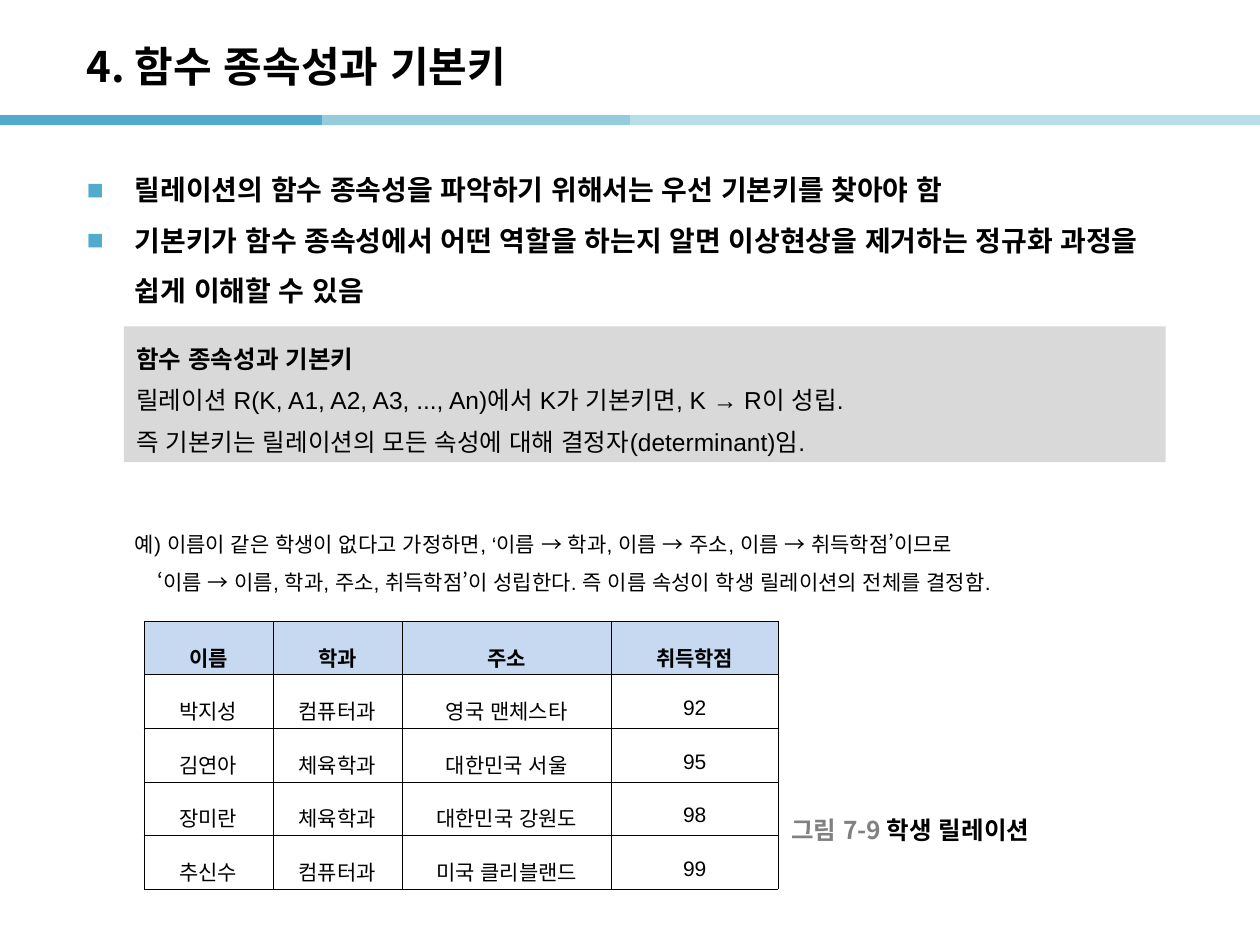
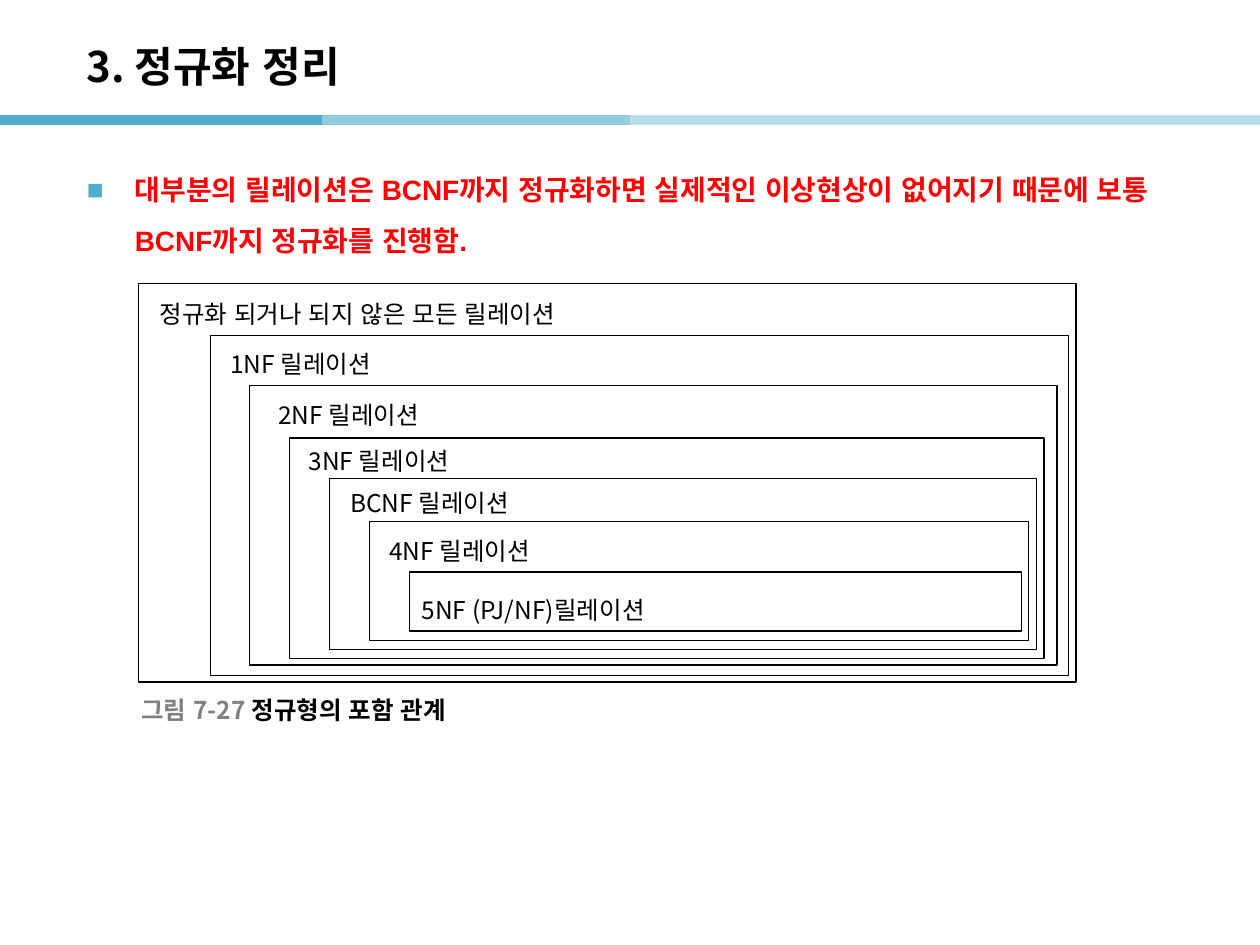
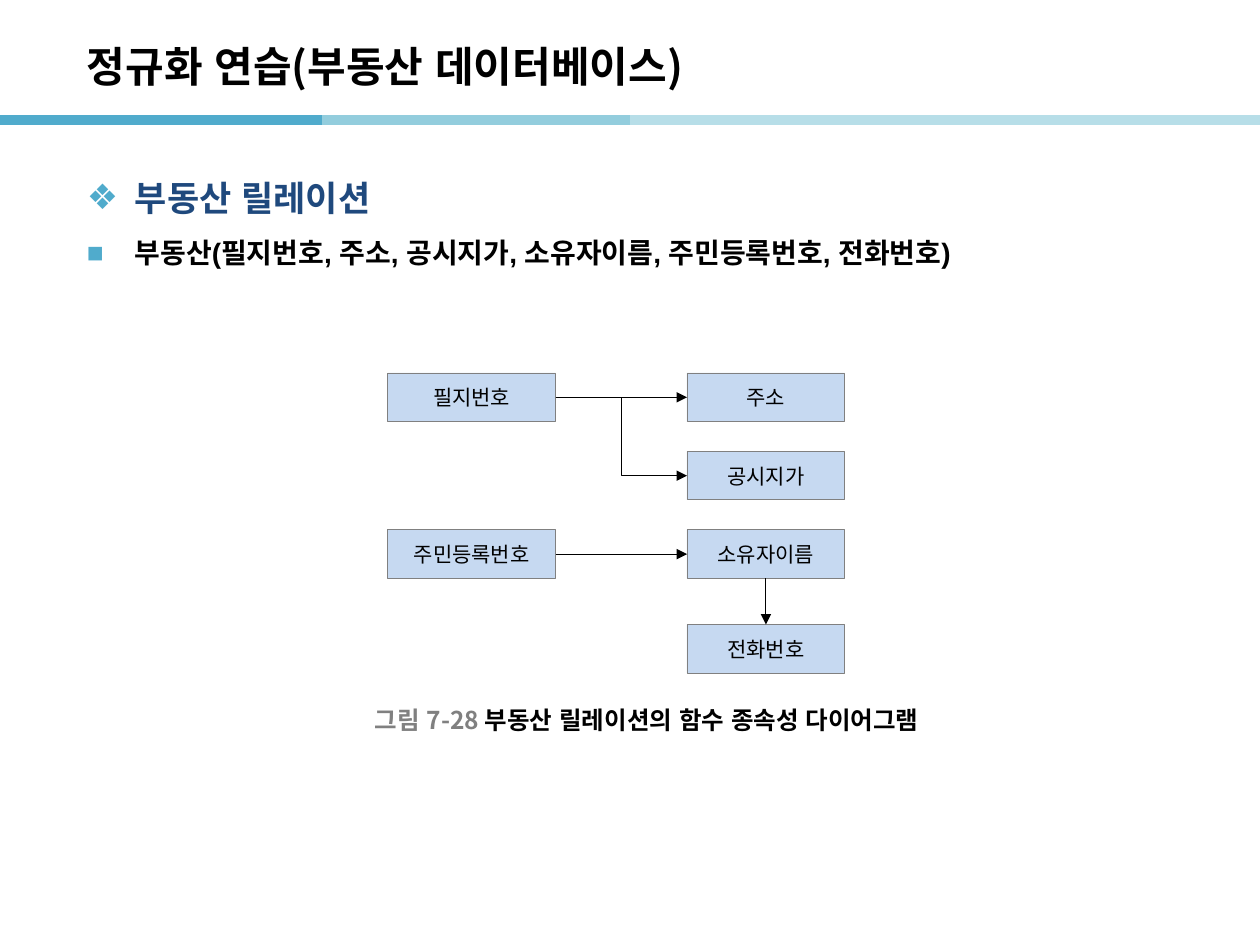
"""Builds three database slides on functional dependency and normal forms."""
from lxml import etree
from pptx import Presentation, util as u
from pptx.dml.color import RGBColor
from pptx.enum import lang, shapes, text
from pptx.oxml.ns import qn

HUES = {
    "ink": "000000", "red": "FF0000", "navy": "1F497D", "gray": "808080",
    "pale": "D9D9D9", "sky": "C6D9F1", "teal": "50ABCC", "aqua": "93CDDD",
    "mist": "B7DEE8",
}
NOTO, ARIAL = "Noto Sans CJK KR", "Arial"

BANDS = [(0, 6.5, "teal"), (6.5, 12.7, "aqua"), (12.7, 25.4, "mist")]
TITLE = (1.5, 0.56, 21, 1.52)
BODY = (1.5, 3.02, 22.4, 15.2)

FONTS = {
    "title": dict(name=NOTO, size=24, bold=True, hue="ink"),
    "head": dict(name=ARIAL, size=20, bold=True, hue="navy"),
    "point": dict(name=ARIAL, size=16, bold=True, hue="ink"),
    "alert": dict(name=ARIAL, size=16, bold=True, hue="red"),
    "case": dict(name=ARIAL, size=12, bold=False, hue="ink"),
    "term": dict(name=ARIAL, size=14, bold=True, hue="ink"),
    "rule": dict(name=ARIAL, size=14, bold=False, hue="ink"),
    "top": dict(name=ARIAL, size=12, bold=True, hue="ink"),
    "cell": dict(name=ARIAL, size=12, bold=False, hue="ink"),
    "label": dict(name=NOTO, size=14, bold=False, hue="ink"),
    "node": dict(name=NOTO, size=12, bold=False, hue="ink"),
    "fig": dict(name=NOTO, size=14, bold=True, hue="gray"),
    "name": dict(name=NOTO, size=14, bold=True, hue="ink"),
}
PARAS = {
    "head": dict(line_spacing=1.5), "point": dict(line_spacing=1.5),
    "alert": dict(line_spacing=1.5), "case": dict(line_spacing=1.5),
    "term": dict(line_spacing=1.4), "rule": dict(line_spacing=1.4),
    "top": dict(line_spacing=1.6, alignment=text.PP_ALIGN.CENTER),
    "cell": dict(line_spacing=1.6, alignment=text.PP_ALIGN.CENTER),
    "node": dict(alignment=text.PP_ALIGN.CENTER),
}
MARKS = {"head": "❖", "point": "■", "alert": "■"}
HANG = 0.97

KEYS = {
    "title": "4. 함수 종속성과 기본키",
    "body": [
        ("point", "릴레이션의 함수 종속성을 파악하기 위해서는 우선 기본키를 찾아야 함"),
        ("point", "기본키가 함수 종속성에서 어떤 역할을 하는지 알면 이상현상을 제거하는 정규화 과정을 쉽게 이해할 수 있음"),
        ("case", "예) 이름이 같은 학생이 없다고 가정하면, ‘이름 → 학과, 이름 → 주소, 이름 → 취득학점’이므로"),
        ("case", "‘이름 → 이름, 학과, 주소, 취득학점’이 성립한다. 즉 이름 속성이 학생 릴레이션의 전체를 결정함."),
    ],
    "fig": ("그림 7-9 ", "학생 릴레이션", 15.7, 16.33, 6),
}
CASE = [(2, HANG, 121), (3, 1.42, 0)]
RULE = [
    ("term", "함수 종속성과 기본키"),
    ("rule", "릴레이션 R(K, A1, A2, A3, ..., An)에서 K가 기본키면, K → R이 성립."),
    ("rule", "즉 기본키는 릴레이션의 모든 속성에 대해 결정자(determinant)임."),
]
COLS = [2.6, 2.6, 4.23, 3.35]
ROWS = [
    ("이름", "학과", "주소", "취득학점"),
    ("박지성", "컴퓨터과", "영국 맨체스타", "92"),
    ("김연아", "체육학과", "대한민국 서울", "95"),
    ("장미란", "체육학과", "대한민국 강원도", "98"),
    ("추신수", "컴퓨터과", "미국 클리블랜드", "99"),
]
ROW = 1.08

FORMS = {
    "title": "3. 정규화 정리",
    "body": [("alert", "대부분의 릴레이션은 BCNF까지 정규화하면 실제적인 이상현상이 없어지기 때문에 보통 BCNF까지 정규화를 진행함.")],
    "fig": ("그림 7-27 ", "정규형의 포함 관계", 2.6, 13.92, 7.5),
}
NESTS = [
    ("정규화 되거나 되지 않은 모든 릴레이션", (2.97, 5.9, 11.38), (2.79, 5.72, 18.9, 8.03)),
    ("1NF 릴레이션", (4.39, 6.91, 3.68), (4.24, 6.76, 17.3, 6.86)),
    ("2NF 릴레이션", (5.36, 7.94, 3.68), (5.03, 7.77, 16.28, 5.64)),
    ("3NF 릴레이션", (5.97, 8.86, 3.68), (5.84, 8.83, 15.21, 4.45)),
    ("BCNF 릴레이션", (6.81, 9.72, 4.93), (6.65, 9.65, 14.25, 3.45)),
    ("4NF 릴레이션", (7.6, 10.68, 3.68), (7.45, 10.51, 13.28, 2.41)),
    ("5NF (PJ/NF)릴레이션", (8.25, 11.87, 5.13), (8.25, 11.53, 12.34, 1.19)),
]

LAND = {
    "title": "정규화 연습(부동산 데이터베이스)",
    "body": [
        ("head", "부동산 릴레이션"),
        ("point", "부동산(필지번호, 주소, 공시지가, 소유자이름, 주민등록번호, 전화번호)"),
    ],
    "fig": ("그림 7-28 ", "부동산 릴레이션의 함수 종속성 다이어그램", 7.3, 14.12, 13),
}
LEFT, RIGHT = (7.82, 3.38), (13.85, 3.18)
NODES = {
    "필지번호": (LEFT, 7.52), "주소": (RIGHT, 7.52), "공시지가": (RIGHT, 9.1),
    "주민등록번호": (LEFT, 10.68), "소유자이름": (RIGHT, 10.68),
    "전화번호": (RIGHT, 12.59),
}
TALL = 0.98
TOP, WEST, BASE, EAST = range(4)
LINKS = [
    ("필지번호", EAST, "주소", WEST, "STRAIGHT"),
    ("필지번호", EAST, "공시지가", WEST, "ELBOW"),
    ("주민등록번호", EAST, "소유자이름", WEST, "STRAIGHT"),
    ("소유자이름", BASE, "전화번호", TOP, "STRAIGHT"),
]


def hue(key):
    return RGBColor.from_string(HUES[key])


def cms(*nums):
    return [u.Cm(n) for n in nums]


def sub(node, tag, **atts):
    return etree.SubElement(node, qn(tag), atts)


def put(para, words, kind):
    """Adds one run in a named style."""
    run = para.add_run()
    run.text = words
    form = dict(FONTS[kind], language_id=lang.MSO_LANGUAGE_ID.KOREAN)
    run.font.color.rgb = hue(form.pop("hue"))
    form["size"] = u.Pt(form["size"])
    for key, val in form.items():
        setattr(run.font, key, val)
    sub(run.font._element, "a:ea", typeface=NOTO)


def fill(frame, lines):
    """Writes (style, words) lines into a text frame."""
    for i, (kind, words) in enumerate(lines):
        para = frame.add_paragraph() if i else frame.paragraphs[0]
        put(para, words, kind)
        if kind in MARKS:
            inset(para, HANG, -HANG)
            props = para._p.get_or_add_pPr()
            sub(sub(props, "a:buClr"), "a:srgbClr", val=HUES["teal"])
            sub(props, "a:buFont", typeface=ARIAL)
            sub(props, "a:buChar", char=MARKS[kind])
        for key, val in PARAS.get(kind, {}).items():
            setattr(para, key, val)


def inset(para, left, first=0):
    props = para._p.get_or_add_pPr()
    props.set("marL", str(u.Cm(left)))
    props.set("indent", str(u.Cm(first)))


def write(slide, spot, lines, mid=False):
    frame = slide.shapes.add_textbox(*cms(*spot)).text_frame
    frame.word_wrap = True
    if mid:
        frame.vertical_anchor = text.MSO_ANCHOR.MIDDLE
    fill(frame, lines)
    return frame


def rect(slide, spot, paint=None, edge=None, width=0.75):
    box = slide.shapes.add_shape(shapes.MSO_SHAPE.RECTANGLE, *cms(*spot))
    box.shadow.inherit = False
    for part, tint in ((box.fill, paint), (box.line.fill, edge)):
        if tint:
            part.solid()
            part.fore_color.rgb = hue(tint)
        else:
            part.background()
    if edge:
        box.line.width = u.Pt(width)
    box.text_frame.vertical_anchor = text.MSO_ANCHOR.MIDDLE
    return box


def link(slide, kind, ends, tint, width):
    line = slide.shapes.add_connector(
        getattr(shapes.MSO_CONNECTOR, kind), *cms(*ends))
    line.line.color.rgb = hue(tint)
    line.line.width = u.Pt(width)
    sub(line._element.spPr, "a:effectLst")
    return line


def start(deck, page):
    """Adds a slide with its bands, title, body and caption."""
    slide = deck.slides.add_slide(deck.slide_layouts[6])
    for x, end, tint in BANDS:
        link(slide, "STRAIGHT", (x, 2.42, end, 2.42), tint, 6)
    write(slide, TITLE, [("title", page["title"])], mid=True)
    body = write(slide, BODY, page["body"])
    fig, name, x, y, wide = page["fig"]
    frame = write(slide, (x, y, wide, 0.79), [("fig", fig)], mid=True)
    put(frame.paragraphs[0], name, "name")
    return slide, body


def grid(slide):
    """Draws the student table."""
    table = slide.shapes.add_table(
        len(ROWS), len(COLS), *cms(2.9, 12.52, sum(COLS), ROW * len(ROWS))).table
    for col, wide in zip(table.columns, COLS):
        col.width = u.Cm(wide)
    for r, row in enumerate(ROWS):
        table.rows[r].height = u.Cm(ROW)
        for c, words in enumerate(row):
            cell = table.cell(r, c)
            cell.vertical_anchor = text.MSO_ANCHOR.MIDDLE
            for side in ("left", "right", "top", "bottom"):
                room = 0.18 if side in ("left", "right") else 0.05
                setattr(cell, "margin_" + side, u.Cm(room))
            fill(cell.text_frame, [("cell" if r else "top", words)])
            props = cell._tc.get_or_add_tcPr()
            for side in "LRTB":
                edge = sub(props, "a:ln" + side, w=str(u.Pt(0.28)))
                sub(sub(edge, "a:solidFill"), "a:srgbClr", val=HUES["ink"])
            if r:
                cell.fill.background()
            else:
                cell.fill.solid()
                cell.fill.fore_color.rgb = hue("sky")


def keys(deck):
    slide, body = start(deck, KEYS)
    for i, left, gap in CASE:
        inset(body.paragraphs[i], left)
        body.paragraphs[i].space_before = u.Pt(gap)
    frame = rect(slide, (2.5, 6.58, 21, 2.74), "pale").text_frame
    frame.word_wrap = False
    fill(frame, RULE)
    for para in frame.paragraphs:
        para.alignment = text.PP_ALIGN.LEFT
    grid(slide)


def forms(deck):
    slide, _ = start(deck, FORMS)
    for words, spot, frame in NESTS:
        rect(slide, frame, edge="ink")
        write(slide, (*spot, 0.86), [("label", words)])


def land(deck):
    slide, _ = start(deck, LAND)
    nodes = {}
    for words, ((x, wide), y) in NODES.items():
        box = rect(slide, (x, y, wide, TALL), "sky", "gray", 0.5)
        fill(box.text_frame, [("node", words)])
        nodes[words] = box
    for src, out, dest, into, kind in LINKS:
        line = link(slide, kind, (0, 0, 1, 1), "ink", 0.5)
        line.begin_connect(nodes[src], out)
        line.end_connect(nodes[dest], into)
        sub(line.line._get_or_add_ln(), "a:tailEnd", type="triangle")


def main():
    deck = Presentation()
    deck.slide_width, deck.slide_height = cms(25.4, 19.05)
    for make in (keys, forms, land):
        make(deck)
    deck.save("out.pptx")


if __name__ == "__main__":
    main()
